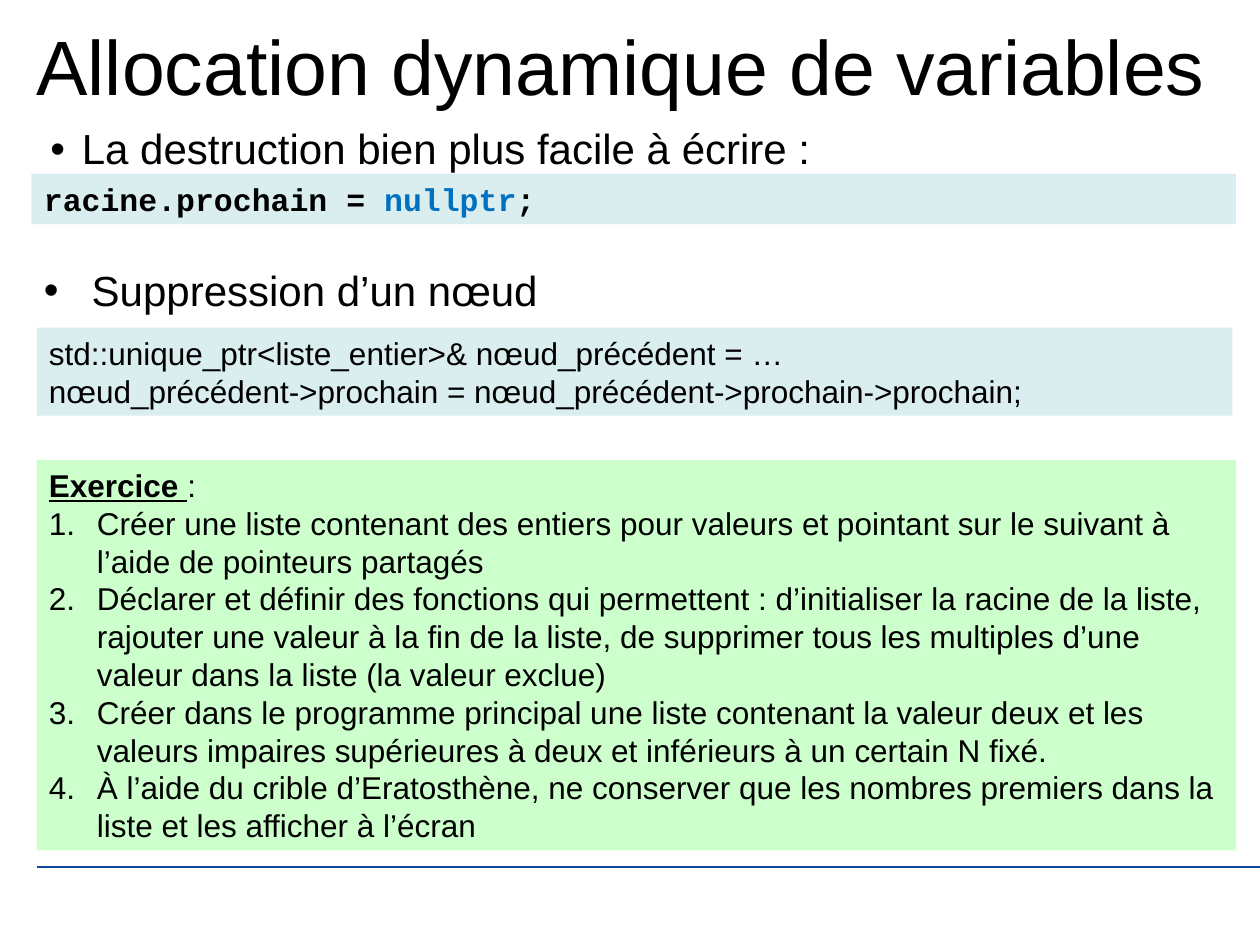
import lxml.etree
import pptx
import pptx.dml.color
import pptx.enum.shapes
import pptx.enum.text
import pptx.oxml.ns
import pptx.util

WIDE, HIGH = pptx.util.Inches(10), pptx.util.Inches(7.5)
COL, ROW = WIDE / 100, HIGH / 75
BLACK, BLUE, NAVY = "000000", "0070C0", "11489C"
PALE, GREEN = "DAEDEF", "CCFFCC"
ANCHOR = pptx.enum.text.MSO_ANCHOR
TASKS = [
    "Créer une liste contenant des entiers pour valeurs et pointant sur le suivant à l’aide de pointeurs partagés",
    "Déclarer et définir des fonctions qui permettent : d’initialiser la racine de la liste, "
    "rajouter une valeur à la fin de la liste, de supprimer tous les multiples d’une valeur "
    "dans la liste (la valeur exclue)",
    "Créer dans le programme principal une liste contenant la valeur deux et les valeurs "
    "impaires supérieures à deux et inférieurs à un certain N fixé.",
    "À l’aide du crible d’Eratosthène, ne conserver que les nombres premiers dans la liste et les afficher à l’écran",
]


def paint(text):
    return pptx.dml.color.RGBColor.from_string(text)


def span(box):
    left, top, width, height = box
    return [round(n) for n in (left * COL, top * ROW, width * COL, height * ROW)]


def add(parent, tag, **keys):
    return lxml.etree.SubElement(parent, pptx.oxml.ns.qn(tag), **keys)


def write(par, text, size=18, font="Arial", color=BLACK, bold=False, under=False):
    run = par.add_run()
    run.text = text
    run.font.size = pptx.util.Pt(size)
    run.font.name = font
    run.font.color.rgb = paint(color)
    run.font.bold = bold
    run.font.underline = under


def mark(par, indent=0.38, count=False):
    props = par._p.get_or_add_pPr()
    inch = pptx.util.Inches(indent)
    props.set("marL", str(inch))
    props.set("indent", str(-inch))
    add(add(props, "a:buClr"), "a:srgbClr", val=BLACK)
    add(props, "a:buFont", typeface="Arial")
    if count:
        add(props, "a:buAutoNum", type="arabicPeriod")
    else:
        add(props, "a:buChar", char="•")


def line(frame, first=False):
    par = frame.paragraphs[0] if first else frame.add_paragraph()
    par.alignment = pptx.enum.text.PP_ALIGN.LEFT
    return par


def setup(frame, anchor=ANCHOR.TOP, side=0.1, edge=0.05):
    frame.word_wrap = True
    frame.auto_size = pptx.enum.text.MSO_AUTO_SIZE.NONE
    frame.vertical_anchor = anchor
    frame.margin_left = frame.margin_right = pptx.util.Inches(side)
    frame.margin_top = frame.margin_bottom = pptx.util.Inches(edge)
    return frame


def holder(shape, box):
    shape.left, shape.top, shape.width, shape.height = span(box)
    par = line(setup(shape.text_frame, ANCHOR.MIDDLE, 0, 0), True)
    par.line_spacing = 0.9
    par.space_before = pptx.util.Pt(0)
    return par


def panel(slide, box, fill):
    shape = slide.shapes.add_shape(pptx.enum.shapes.MSO_SHAPE.RECTANGLE, *span(box))
    shape.shadow.inherit = False
    shape.fill.solid()
    shape.fill.fore_color.rgb = paint(fill)
    shape.line.fill.background()
    return setup(shape.text_frame)


def head(slide, box):
    write(holder(slide.shapes.title, box), "Allocation dynamique de variables", size=44)


def lead(slide, box):
    par = holder(slide.placeholders[1], box)
    mark(par, 0.25)
    write(par, "La destruction bien plus facile à écrire :", size=24)


def reset(slide, box):
    par = line(panel(slide, box, PALE), True)
    for text, color in (("racine.prochain = ", BLACK), ("nullptr", BLUE), (";", BLACK)):
        write(par, text, font="Courier New", color=color, bold=True)


def topic(slide, box):
    par = line(setup(slide.shapes.add_textbox(*span(box)).text_frame), True)
    mark(par)
    write(par, "Suppression d’un nœud", size=24)


def remove(slide, box):
    frame = panel(slide, box, PALE)
    write(line(frame, True), "std::unique_ptr<liste_entier>& nœud_précédent = …")
    write(line(frame), "nœud_précédent->prochain = nœud_précédent->prochain->prochain;")


def tasks(slide, box):
    frame = panel(slide, box, GREEN)
    par = line(frame, True)
    write(par, "Exercice ", bold=True, under=True)
    write(par, ":")
    for text in TASKS:
        par = line(frame)
        mark(par, count=True)
        write(par, text)


def rule(slide, box):
    left, top, width, height = span(box)
    kind = pptx.enum.shapes.MSO_CONNECTOR.STRAIGHT
    stroke = slide.shapes.add_connector(kind, left, top, left + width, top + height)
    stroke.line.color.rgb = paint(NAVY)
    stroke.line.width = pptx.util.Pt(0.75)
    add(stroke._element.spPr, "a:effectLst")


def main():
    deck = pptx.Presentation()
    deck.slide_width, deck.slide_height = WIDE, HIGH
    slide = deck.slides.add_slide(deck.slide_layouts[1])
    rule(slide, (2.9, 68.8, 97.1, 0))
    head(slide, (2.9, 0, 96.1, 11.2))
    lead(slide, (4, 9.5, 85, 5))
    reset(slide, (2.5, 13.8, 95.6, 4))
    topic(slide, (2.5, 20.5, 95.6, 5))
    remove(slide, (2.9, 26, 94.9, 7))
    tasks(slide, (2.9, 36.5, 95.2, 31))
    deck.save("out.pptx")


if __name__ == "__main__":
    main()
